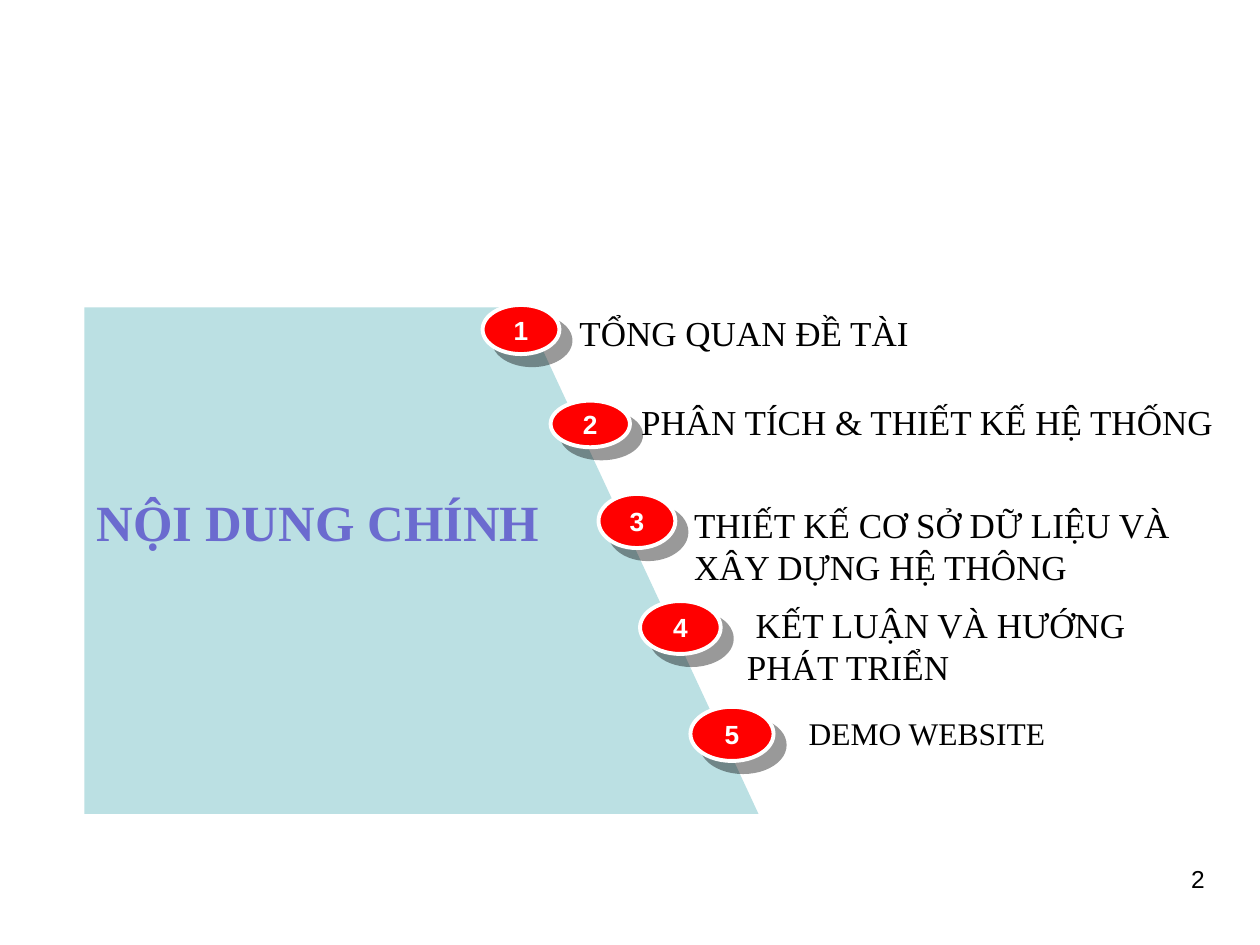
from dataclasses import dataclass

from lxml.etree import SubElement
from pptx import Presentation
from pptx.dml.color import RGBColor
from pptx.enum.shapes import MSO_SHAPE
from pptx.enum.text import MSO_ANCHOR, PP_ALIGN
from pptx.oxml.ns import qn
from pptx.util import Inches, Pt


@dataclass(frozen=True)
class Theme:
    panel: RGBColor = RGBColor(0xBB, 0xE0, 0xE3)
    title: RGBColor = RGBColor(0x6B, 0x6B, 0xCF)
    badge: RGBColor = RGBColor(0xFF, 0x00, 0x00)
    white: RGBColor = RGBColor(0xFF, 0xFF, 0xFF)
    black: RGBColor = RGBColor(0x00, 0x00, 0x00)
    serif: str = "Times New Roman"
    sans: str = "Arial"
    title_size: int = 29
    item_size: int = 20
    small_item_size: int = 18
    badge_size: int = 15
    page_size: int = 14


THEME = Theme()

# Badge box, label box, label lines, label size
AGENDA = [
    ((3.83, 2.42, 0.61, 0.39), (4.5, 2.42, 2.82, 0.44),
     ["TỔNG QUAN ĐỀ TÀI"], THEME.item_size),
    ((4.37, 3.18, 0.63, 0.37), (4.99, 3.13, 4.76, 0.44),
     ["PHÂN TÍCH & THIẾT KẾ HỆ THỐNG"], THEME.item_size),
    ((4.75, 3.92, 0.61, 0.43), (5.41, 3.95, 4.05, 0.77),
     ["THIẾT KẾ CƠ SỞ DỮ LIỆU VÀ", "XÂY DỰNG HỆ THÔNG"], THEME.item_size),
    ((5.08, 4.77, 0.64, 0.42), (5.83, 4.74, 3.28, 0.77),
     [" KẾT LUẬN VÀ HƯỚNG", "PHÁT TRIỂN"], THEME.item_size),
    ((5.48, 5.61, 0.66, 0.43), (6.32, 5.62, 2.08, 0.4),
     ["DEMO WEBSITE"], THEME.small_item_size),
]


def inches(box):
    return [Inches(length) for length in box]


def write_lines(frame, lines, name, size, color, bold=False, align=PP_ALIGN.LEFT):
    for index, line in enumerate(lines):
        paragraph = frame.paragraphs[0] if index == 0 else frame.add_paragraph()
        paragraph.text = line
        paragraph.alignment = align
        font = paragraph.font
        font.name, font.size, font.bold = name, Pt(size), bold
        font.color.rgb = color


def add_text(slide, box, lines, name, size, color, wrap=True, **style):
    frame = slide.shapes.add_textbox(*inches(box)).text_frame
    frame.word_wrap = wrap
    write_lines(frame, lines, name, size, color, **style)


def add_panel(slide, box, top_width):
    """Draw the panel whose right side slants from top_width to the full width."""
    left, top, width, height = inches(box)
    builder = slide.shapes.build_freeform(left, top)
    builder.add_line_segments([
        (left + Inches(top_width), top),
        (left + width, top + height),
        (left, top + height),
    ])
    panel = builder.convert_to_shape()
    panel.shadow.inherit = False
    panel.fill.solid()
    panel.fill.fore_color.rgb = THEME.panel
    panel.line.fill.background()


def add_hard_shadow(shape):
    """Cast an unblurred 40 % black shadow to the lower right."""
    shape.shadow.inherit = False
    effects = shape.element.spPr.find(qn("a:effectLst"))
    shadow = SubElement(effects, qn("a:outerShdw"), blurRad="0", dist=str(Pt(9)),
                        dir=str(45 * 60000), algn="ctr", rotWithShape="0")
    color = SubElement(shadow, qn("a:srgbClr"), val=str(THEME.black))
    SubElement(color, qn("a:alpha"), val="40000")


def add_badge(slide, box, number):
    badge = slide.shapes.add_shape(MSO_SHAPE.OVAL, *inches(box))
    badge.fill.solid()
    badge.fill.fore_color.rgb = THEME.badge
    badge.line.color.rgb = THEME.white
    badge.line.width = Pt(2.25)
    add_hard_shadow(badge)
    frame = badge.text_frame
    frame.margin_left = frame.margin_right = frame.margin_top = frame.margin_bottom = 0
    frame.vertical_anchor = MSO_ANCHOR.MIDDLE
    write_lines(frame, [str(number)], THEME.sans, THEME.badge_size, THEME.white,
                bold=True, align=PP_ALIGN.CENTER)


def add_agenda(slide):
    for number, (badge_box, label_box, lines, size) in enumerate(AGENDA, start=1):
        add_badge(slide, badge_box, number)
        add_text(slide, label_box, lines, THEME.serif, size, THEME.black, wrap=False)


def main():
    presentation = Presentation()
    presentation.slide_width, presentation.slide_height = Inches(10), Inches(7.5)
    slide = presentation.slides.add_slide(presentation.slide_layouts[6])
    add_panel(slide, (0.67, 2.44, 5.35, 4.02), top_width=3.48)
    add_text(slide, (0.67, 3.85, 4, 0.56), ["NỘI DUNG CHÍNH"], THEME.serif,
             THEME.title_size, THEME.title, bold=True)
    add_text(slide, (7.33, 6.81, 2.33, 0.61), ["2"], THEME.sans,
             THEME.page_size, THEME.black, align=PP_ALIGN.RIGHT)
    add_agenda(slide)
    presentation.save("out.pptx")


if __name__ == "__main__":
    main()
